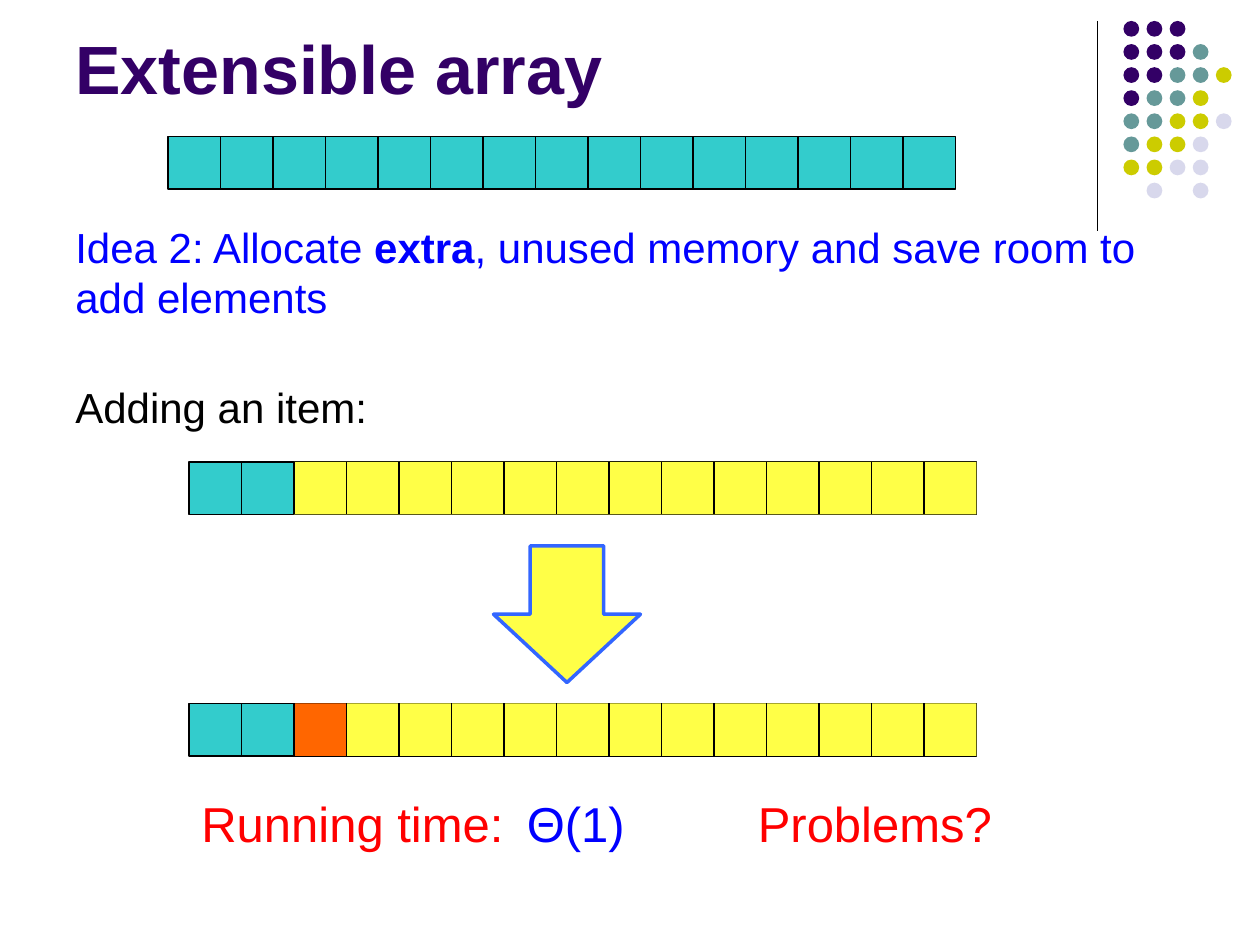
from lxml import etree
from pptx import Presentation
from pptx import util as u
from pptx.dml.color import RGBColor
from pptx.enum import shapes, text
from pptx.oxml import ns

BLACK = RGBColor(0x00, 0x00, 0x00)
PURPLE = RGBColor(0x33, 0x00, 0x66)
SAGE = RGBColor(0x66, 0x99, 0x99)
OLIVE = RGBColor(0xCC, 0xCC, 0x00)
MIST = RGBColor(0xD8, 0xD8, 0xEC)
TEAL = RGBColor(0x33, 0xCC, 0xCC)
YELLOW = RGBColor(0xFF, 0xFF, 0x47)
ORANGE = RGBColor(0xFF, 0x66, 0x00)
BLUE = RGBColor(0x00, 0x00, 0xFF)
EDGE = RGBColor(0x33, 0x66, 0xFF)
RED = RGBColor(0xFF, 0x00, 0x00)

KIND = shapes.MSO_SHAPE
FONT = "Arial"
CELL = 5
COUNT = 15
PITCH = 2.2
DOTS = ["PPP", "PPPS", "PPSSO", "PSSO", "SSOOM", "SOOM", "OOMM", " M M"]
TINTS = {"P": PURPLE, "S": SAGE, "O": OLIVE, "M": MIST}


def grid(*units):
    return [u.Inches(n / 12) for n in units]


def add_line(slide, x, top, end):
    line = slide.shapes.add_connector(
        shapes.MSO_CONNECTOR.STRAIGHT, *grid(x, top, x, end))
    line.line.color.rgb = BLACK
    line.line.width = u.Pt(0.75)
    etree.SubElement(line._element.spPr, ns.qn("a:effectLst"))


def add_fill(slide, kind, box, fill, edge=None, width=0.75):
    shape = slide.shapes.add_shape(kind, *grid(*box))
    shape.shadow.inherit = False
    shape.fill.solid()
    shape.fill.fore_color.rgb = fill
    if edge is None:
        shape.line.fill.background()
    else:
        shape.line.color.rgb = edge
        shape.line.width = u.Pt(width)


def add_row(slide, left, top, parts=()):
    add_fill(slide, KIND.RECTANGLE, (left, top, COUNT * CELL, CELL), TEAL, BLACK)
    for first, last, fill in parts:
        box = (left + first * CELL, top, (last - first) * CELL, CELL)
        add_fill(slide, KIND.RECTANGLE, box, fill)
    for col in range(1, COUNT):
        add_line(slide, left + col * CELL, top, top + CELL)


def add_dots(slide):
    for row, marks in enumerate(DOTS):
        for col, mark in enumerate(marks):
            if mark in TINTS:
                box = (107 + col * PITCH, 2 + row * PITCH, 1.5, 1.5)
                add_fill(slide, KIND.OVAL, box, TINTS[mark])


def style(run, size, tint, bold=False):
    run.font.name = FONT
    run.font.size = u.Pt(size)
    run.font.bold = bold
    run.font.color.rgb = tint


def add_text(slide, box, words, size, tint, bold=False):
    frame = slide.shapes.add_textbox(*grid(*box)).text_frame
    frame.word_wrap = True
    frame.text = words
    style(frame.paragraphs[0].runs[0], size, tint, bold)
    return frame


def add_body(slide):
    frame = add_text(slide, (6, 20, 109, 23.4),
                     "Idea 2: Allocate ", 24, BLUE)
    frame.margin_top = u.Inches(0.09)
    idea = frame.paragraphs[0]
    for words, bold in (("extra", True),
                        (", unused memory and save room to add elements", False)):
        run = idea.add_run()
        run.text = words
        style(run, 24, BLUE, bold)
    item = frame.add_paragraph()
    item.text = "Adding an item:"
    item.space_before = u.Pt(34)
    style(item.runs[0], 24, BLACK)


def main():
    deck = Presentation()
    deck.slide_width, deck.slide_height = grid(120, 90)
    slide = deck.slides.add_slide(deck.slide_layouts[6])
    add_line(slide, 104.5, 2, 22)
    add_dots(slide)
    title = add_text(slide, (6, 1.6, 99, 9.3),
                     "Extensible array", 39, PURPLE, True)
    title.vertical_anchor = text.MSO_ANCHOR.BOTTOM
    add_body(slide)
    add_row(slide, 16, 13)
    add_row(slide, 18, 44, [(2, COUNT, YELLOW)])
    add_fill(slide, KIND.DOWN_ARROW, (47, 52, 14, 13), YELLOW, EDGE, 2)
    add_row(slide, 18, 67, [(2, 3, ORANGE), (3, COUNT, YELLOW)])
    for left, width, words, tint in ((18, 32, "Running time:", RED),
                                     (49, 12, "Θ(1)", BLUE),
                                     (71, 32, "Problems?", RED)):
        add_text(slide, (left, 75, width, 6.8), words, 28, tint)
    deck.save("out.pptx")


if __name__ == "__main__":
    main()
